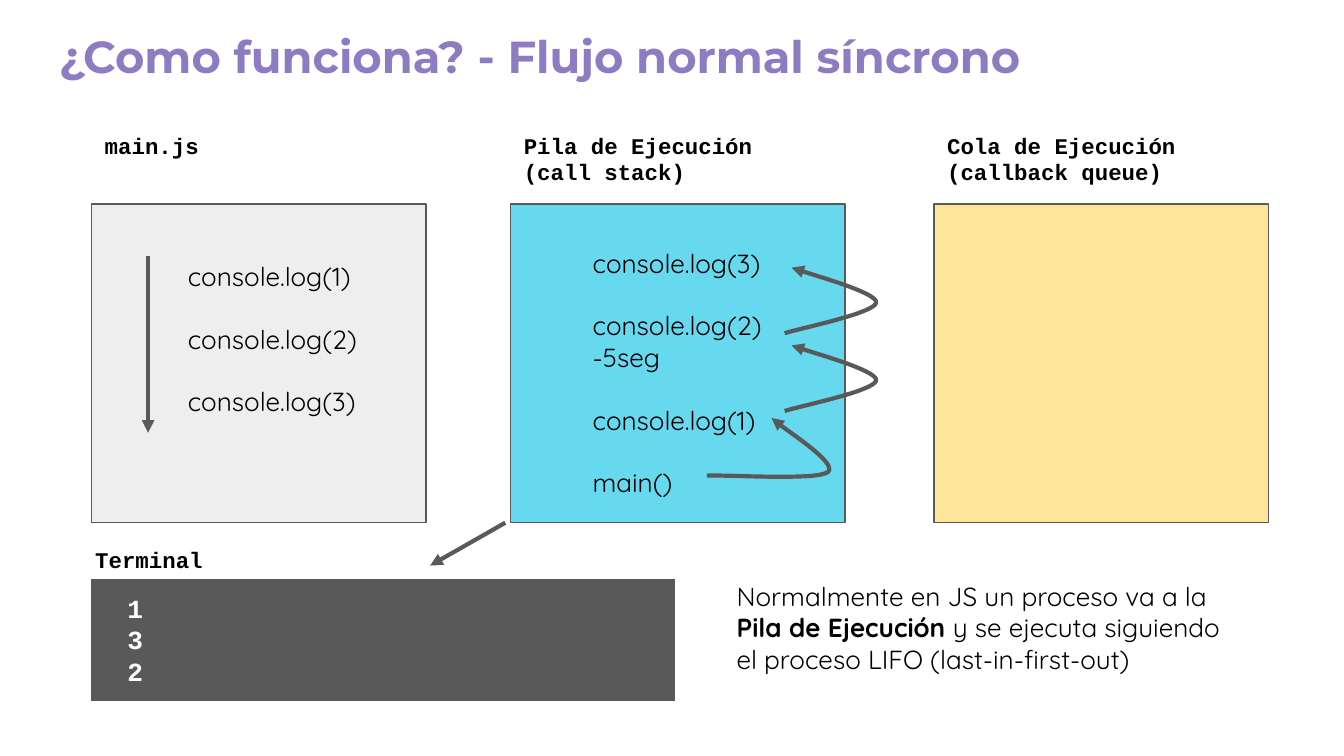
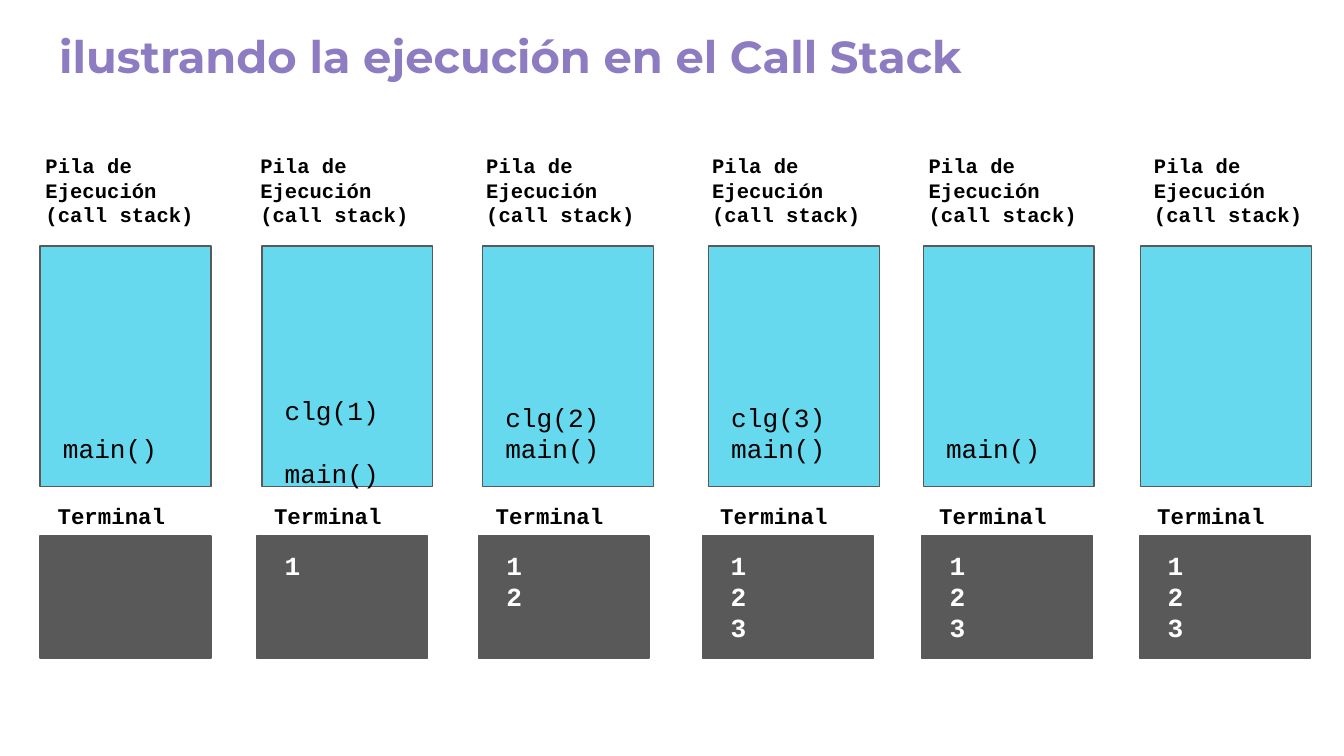
from lxml.etree import SubElement
from pptx import Presentation
from pptx.dml.color import RGBColor
from pptx.enum.shapes import MSO_CONNECTOR as CONN, MSO_SHAPE as SHAPE
from pptx.enum.text import MSO_ANCHOR as ANCHOR
from pptx.oxml.ns import qn
from pptx.util import Cm, Pt

PURPLE, CYAN, GRAY = "8E7CC3", "66D9EF", "595959"
LIGHT, YELLOW, BLACK, WHITE = "EEEEEE", "FFE599", "000000", "FFFFFF"
TITLE_FONT, MONO, BODY = "Montserrat", "Courier New", "Quicksand"


def rgb(value):
    return RGBColor.from_string(value)


def bezier(start, c1, c2, end, steps=16):
    points = []
    for i in range(1, steps + 1):
        t = i / steps
        u = 1 - t
        weights = (u ** 3, 3 * u * u * t, 3 * u * t * t, t ** 3)
        points.append(tuple(sum(w * q[axis] for w, q in zip(weights, (start, c1, c2, end)))
                            for axis in (0, 1)))
    return points


class Deck:
    """Presentation style and the slide being drawn."""

    def __init__(self):
        self.prs = Presentation()
        self.prs.slide_width, self.prs.slide_height = Cm(25.4), Cm(14.29)
        self.s = None

    def slide(self, title):
        self.s = self.prs.slides.add_slide(self.prs.slide_layouts[6])
        self.text(0.87, 0.3, 23.67, 1.6, [title], 24, TITLE_FONT, PURPLE, True, leading=None)

    def text(self, x, y, w, h, lines, size=14, font=MONO, color=BLACK, bold=False,
             gap=0, anchor=ANCHOR.TOP, leading=1.2):
        tf = self.s.shapes.add_textbox(Cm(x), Cm(y), Cm(w), Cm(h)).text_frame
        tf.word_wrap = True
        tf.vertical_anchor = anchor
        tf.margin_left = tf.margin_right = tf.margin_top = tf.margin_bottom = Cm(0.25)
        for i, line in enumerate(lines):
            p = tf.paragraphs[0] if i == 0 else tf.add_paragraph()
            p.font.name, p.font.size, p.font.bold = font, Pt(size), bold
            p.font.color.rgb = rgb(color)
            if leading:
                p.line_spacing = Pt(size * leading)
            if i and gap:
                p.space_before = Pt(gap)
            for j, part in enumerate(line.split("**")):
                r = p.add_run()
                r.text = part
                if j % 2:
                    r.font.bold = True

    def label(self, x, y, w, h, lines, size=12):
        self.text(x, y, w, h, lines, size, bold=True)

    def box(self, x, y, w, h, fill):
        sp = self.s.shapes.add_shape(SHAPE.RECTANGLE, Cm(x), Cm(y), Cm(w), Cm(h))
        sp.shadow.inherit = False
        sp.fill.solid()
        sp.fill.fore_color.rgb = rgb(fill)
        sp.line.color.rgb = rgb(GRAY)
        sp.line.width = Pt(0.75)

    def terminal(self, x, y, w, h, output, label_dx, text_dx):
        self.box(x, y, w, h, GRAY)
        self.label(x + label_dx, y - 0.88, 2.97, 1.02, ["Terminal"])
        if output:
            self.text(x + text_dx, y, 2.44, h, output, color=WHITE, bold=True)

    def arrowhead(self, sp):
        sp.line.color.rgb = rgb(GRAY)
        sp.line.width = Pt(2.25)
        SubElement(sp.line._get_or_add_ln(), qn("a:tailEnd"), type="triangle")

    def arrow(self, x1, y1, x2, y2):
        sp = self.s.shapes.add_connector(CONN.STRAIGHT, Cm(x1), Cm(y1), Cm(x2), Cm(y2))
        self.arrowhead(sp)
        SubElement(sp._element.spPr, qn("a:effectLst"))

    def curve(self, points, dy=0):
        start, a, b, mid, c, d, end = [(Cm(x), Cm(y + dy)) for x, y in points]
        fb = self.s.shapes.build_freeform(*start)
        fb.add_line_segments(bezier(start, a, b, mid) + bezier(mid, c, d, end), close=False)
        sp = fb.convert_to_shape()
        sp.shadow.inherit = False
        sp.fill.background()
        self.arrowhead(sp)


def flow_slide(deck):
    deck.slide("¿Como funciona? - Flujo normal síncrono")
    panels = [
        (1.73, LIGHT, ["main.js"]),
        (9.65, CYAN, ["Pila de Ejecución", "(call stack)"]),
        (17.65, YELLOW, ["Cola de Ejecución", "(callback queue)"]),
    ]
    for x, fill, heading in panels:
        deck.box(x, 3.86, 6.32, 6.02, fill)
        deck.label(x, 2.24, 5.18, 1.55, heading)
    deck.terminal(1.73, 10.95, 11.02, 2.29, ["1", "3", "2"], -0.18, 0.43)

    deck.text(3.3, 4.67, 4.09, 3.51,
              ["console.log(1)", "console.log(2)", "console.log(3)"], font=BODY, gap=16.8)
    deck.text(10.95, 4.42, 4.09, 5.31,
              ["console.log(3)", "console.log(2) -5seg", "console.log(1)", "main()"],
              font=BODY, gap=16.8)
    deck.text(13.67, 10.72, 10.11, 2.31,
              ["Normalmente en JS un proceso va a la **Pila de Ejecución** y se ejecuta "
               "siguiendo el proceso LIFO (last-in-first-out)"], font=BODY)

    deck.arrow(2.8, 4.83, 2.8, 8.18)
    deck.arrow(9.55, 9.88, 8.13, 10.69)
    step = [(14.83, 7.77), (15.14, 7.67), (16.54, 7.39), (16.56, 7.19),
            (16.59, 6.99), (15.21, 6.63), (14.96, 6.53)]
    for dy in (0, -1.47):
        deck.curve(step, dy)
    deck.curve([(13.36, 8.99), (13.74, 8.97), (15.44, 9.09), (15.65, 8.92),
                (15.85, 8.74), (14.76, 8.08), (14.58, 7.9)])


def stack_slide(deck):
    deck.slide("ilustrando la ejecución en el Call Stack")
    stages = [
        (0.61, 0.76, 0.76, ["main()"], 0),
        (4.67, 4.95, 4.85, ["clg(1)", "main()"], 1),
        (8.94, 9.12, 9.04, ["clg(2)", "main()"], 2),
        (13.21, 13.39, 13.28, ["clg(3)", "main()"], 3),
        (17.3, 17.45, 17.42, ["main()"], 3),
        (21.56, 21.56, 21.54, [], 3),
    ]
    for i, (heading_x, stack_x, terminal_x, calls, printed) in enumerate(stages):
        deck.box(stack_x, 4.65, 3.23, 4.55, CYAN)
        deck.label(heading_x, 2.64, 3.58, 1.93, ["Pila de Ejecución", "(call stack)"], 11)
        if calls:
            drop, gap = (0.46, 16.8) if i == 1 else (0, 0)
            deck.text(stack_x + 0.18, 6.71 + drop, 2.87, 2.31, calls, gap=gap,
                      anchor=ANCHOR.BOTTOM)
        output = [str(n) for n in range(1, printed + 1)]
        deck.terminal(terminal_x, 10.13, 3.23, 2.31, output, 0.08, 0.28)


def main():
    deck = Deck()
    flow_slide(deck)
    stack_slide(deck)
    deck.prs.save("out.pptx")


if __name__ == "__main__":
    main()
